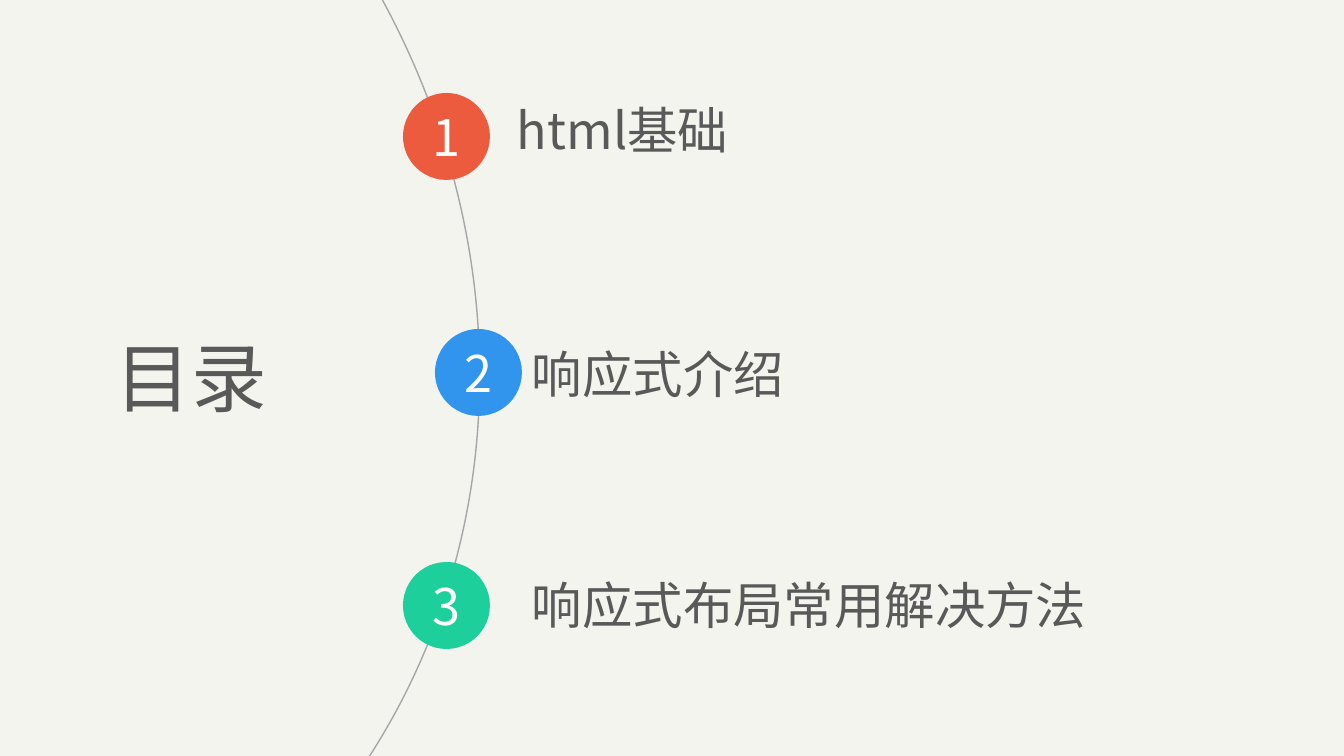
import pptx
import pptx.dml.color
import pptx.enum.shapes
import pptx.enum.text
import pptx.oxml.ns
import pptx.util
import lxml.etree

RGBColor = pptx.dml.color.RGBColor
SHAPE = pptx.enum.shapes.MSO_SHAPE
ALIGN = pptx.enum.text.PP_ALIGN
ANCHOR = pptx.enum.text.MSO_ANCHOR

PAPER = RGBColor(0xF3, 0xF4, 0xEE)
ARC_GREY = RGBColor(0xA6, 0xA6, 0xA6)
INK = RGBColor(0x59, 0x59, 0x59)
WHITE = RGBColor(0xFF, 0xFF, 0xFF)
RED = RGBColor(0xEC, 0x5B, 0x3E)
BLUE = RGBColor(0x32, 0x95, 0xED)
GREEN = RGBColor(0x1D, 0xCF, 0x9B)

FONT = "Noto Sans CJK SC"
WIDTH, HEIGHT = 1344, 756
SCALE = 12192000 / WIDTH
BADGE = 87
TOPIC_WIDTH, TOPIC_HEIGHT = 634, 99


def box(*pixels):
    return [round(value * SCALE) for value in pixels]


def write(holder, text, size, color, frame_format, paragraph_format):
    frame = holder.text_frame
    for key, value in frame_format.items():
        setattr(frame, key, value)
    paragraph = frame.paragraphs[0]
    for key, value in paragraph_format.items():
        setattr(paragraph, key, value)
    run = paragraph.add_run()
    run.text = text
    font_format = {"name": FONT, "size": pptx.util.Pt(size)}
    for key, value in font_format.items():
        setattr(run.font, key, value)
    run.font.color.rgb = color
    # East Asian characters take their own typeface
    east_asian = lxml.etree.SubElement(run.font._element, pptx.oxml.ns.qn("a:ea"))
    east_asian.set("typeface", FONT)


deck = pptx.Presentation()
deck.slide_width, deck.slide_height = box(WIDTH, HEIGHT)
slide = deck.slides.add_slide(deck.slide_layouts[6])
shapes = slide.shapes

# Background
slide.background.fill.solid()
slide.background.fill.fore_color.rgb = PAPER

# Arc that the numbers sit on
arc = shapes.add_shape(SHAPE.ARC, *box(-1051, -404, 1559, 1440))
arc.rotation = 44.2
arc.adjustments[0] = 173.97
arc.adjustments[1] = 210.22
arc.shadow.inherit = False
arc.fill.background()
arc.line.color.rgb = ARC_GREY
arc.line.width = pptx.util.Pt(1)

# Heading
heading = shapes.add_textbox(*box(105, 326, 173, 102))
write(heading, "目录", 54, INK, {"word_wrap": False}, {"alignment": ALIGN.CENTER})

# Numbered topics: badge left and top, topic left and top
topics = [
    ("html基础", RED, 403, 93, 507, 84),
    ("响应式介绍", BLUE, 435, 329, 522, 328),
    ("响应式布局常用解决方法", GREEN, 403, 562, 522, 559),
]
for number, (topic, color, badge_x, badge_y, topic_x, topic_y) in enumerate(topics, 1):
    label = shapes.add_textbox(*box(topic_x, topic_y, TOPIC_WIDTH, TOPIC_HEIGHT))
    write(label, topic, 36, INK,
          {"word_wrap": True, "vertical_anchor": ANCHOR.MIDDLE},
          {"line_spacing": 0.9})

    badge = shapes.add_shape(SHAPE.OVAL, *box(badge_x, badge_y, BADGE, BADGE))
    badge.shadow.inherit = False
    badge.fill.solid()
    badge.fill.fore_color.rgb = color
    badge.line.fill.background()
    write(badge, str(number), 36, WHITE,
          {"vertical_anchor": ANCHOR.MIDDLE}, {"alignment": ALIGN.CENTER})

deck.save("out.pptx")
